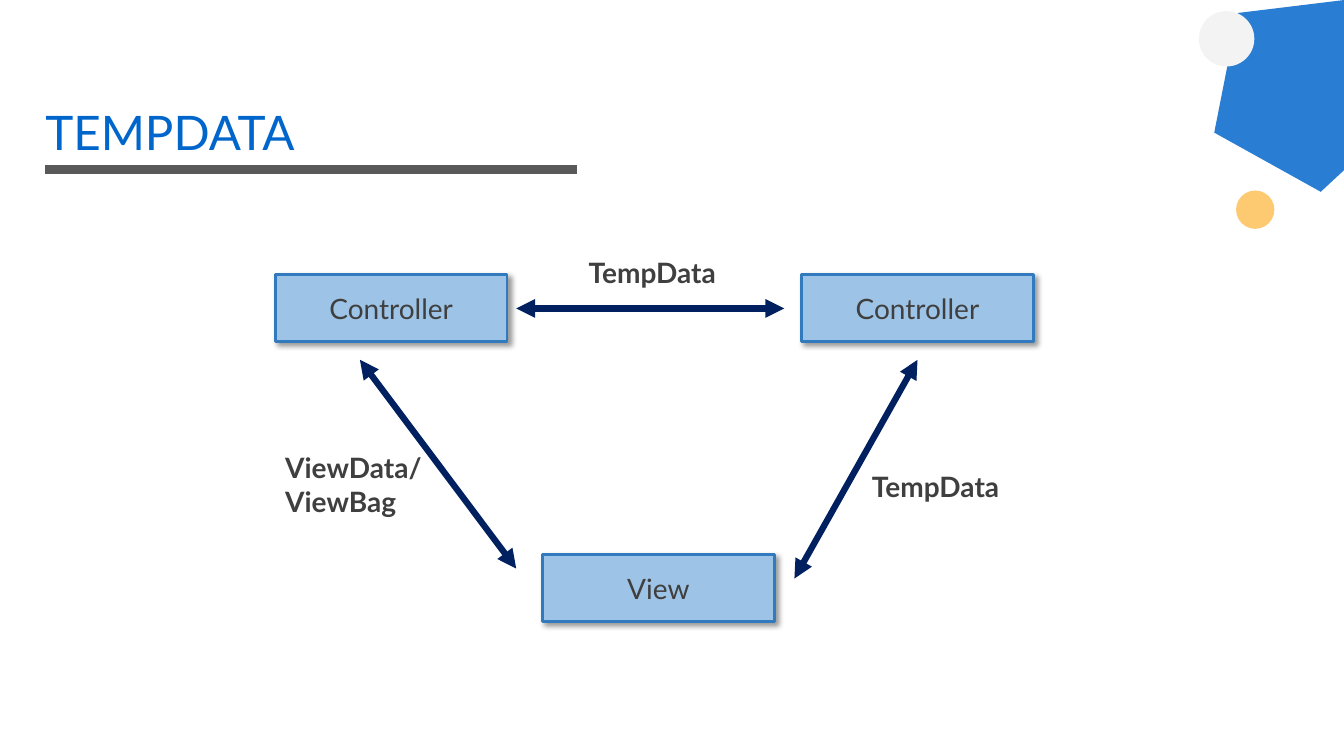
from lxml import etree
from pptx import Presentation
from pptx import util as u
from pptx.dml.color import RGBColor
from pptx.enum import shapes, text
from pptx.oxml import ns

COLORS = {
    "title": "0066CC", "rule": "595959", "amber": "FCA106", "pale": "F3F3F3",
    "box": "9DC3E6", "border": "317ABD", "ink": "3F3F3F", "arrow": "002060",
    "shadow": "000000",
}
KINDS = shapes.MSO_SHAPE

deck = Presentation()
deck.slide_width, deck.slide_height = u.Inches(13.33), u.Inches(7.5)
slide = deck.slides.add_slide(deck.slide_layouts[6])
column, row = deck.slide_width / 100, deck.slide_height / 100


def place(*lengths):
    return [round(n * (row if i % 2 else column)) for i, n in enumerate(lengths)]


def write(frame, words, size, color, bold=False):
    run = frame.paragraphs[0].add_run()
    run.text = words
    run.font.name = "Lato"
    run.font.size = u.Pt(size)
    run.font.bold = bold
    run.font.color.rgb = RGBColor.from_string(COLORS[color])


decorations = [
    (KINDS.REGULAR_PENTAGON, (89.5, -1.6, 14.7, 24.8), 317.1, "title", 84),
    (KINDS.OVAL, (91.97, 25.2, 2.85, 5.07), 0, "amber", 57),
    (KINDS.OVAL, (89.2, 1.47, 4.13, 7.33), 0, "pale", 100),
]
for kind, area, turn, color, opacity in decorations:
    ornament = slide.shapes.add_shape(kind, *place(*area))
    ornament.rotation = turn
    ornament.shadow.inherit = False
    ornament.line.fill.background()
    ornament.fill.solid()
    ornament.fill.fore_color.rgb = RGBColor.from_string(COLORS[color])
    if opacity < 100:
        tint = ornament._element.spPr.find(".//" + ns.qn("a:srgbClr"))
        etree.SubElement(tint, ns.qn("a:alpha"), val=str(opacity * 1000))

title = slide.shapes.add_textbox(*place(3.38, 13.47, 93.17, 10.53)).text_frame
title.word_wrap = True
title.margin_left = title.margin_right = title.margin_bottom = 0
title.margin_top = u.Inches(0.01)
write(title, "TEMPDATA", 34, "title")

box_width, box_height = 17.25, 8.93
top_row, bottom_row = 36.27, 73.33
stages = [("Controller", 20.48, top_row), ("Controller", 59.64, top_row),
          ("View", 40.36, bottom_row)]
for words, left, top in stages:
    stage = slide.shapes.add_shape(
        KINDS.RECTANGLE, *place(left, top, box_width, box_height))
    stage.fill.solid()
    stage.fill.fore_color.rgb = RGBColor.from_string(COLORS["box"])
    stage.line.color.rgb = RGBColor.from_string(COLORS["border"])
    stage.line.width = u.Pt(2)
    stage.shadow.inherit = False
    effects = stage._element.spPr.find(ns.qn("a:effectLst"))
    shade = etree.SubElement(
        effects, ns.qn("a:outerShdw"), blurRad=str(u.Pt(4)), dist=str(u.Pt(3)),
        dir=str(45 * 60000), algn="tl", rotWithShape="0")
    shade_color = etree.SubElement(shade, ns.qn("a:srgbClr"), val=COLORS["shadow"])
    etree.SubElement(shade_color, ns.qn("a:alpha"), val="40000")
    stage.text_frame.vertical_anchor = text.MSO_ANCHOR.MIDDLE
    stage.text_frame.paragraphs[0].alignment = text.PP_ALIGN.CENTER
    write(stage.text_frame, words, 20, "ink")

lines = [
    ((3.38, 22.4, 42.91, 22.4), "rule", 6, False),
    ((68.27, 47.6, 59.11, 76.53), "arrow", 4.5, True),
    ((26.78, 47.6, 38.41, 75.2), "arrow", 4.5, True),
    ((38.41, 40.8, 58.36, 40.8), "arrow", 4.5, True),
]
for ends, color, weight, pointed in lines:
    link = slide.shapes.add_connector(shapes.MSO_CONNECTOR.STRAIGHT, *place(*ends))
    link.line.color.rgb = RGBColor.from_string(COLORS[color])
    link.line.width = u.Pt(weight)
    if pointed:
        for end in ("a:headEnd", "a:tailEnd"):
            etree.SubElement(link.line._get_or_add_ln(), ns.qn(end), type="triangle")
    etree.SubElement(link._element.spPr, ns.qn("a:effectLst"))

labels = [
    ("TempData", (64.14, 61.47, 11.18, 6.4), False),
    ("TempData", (43.06, 33.2, 11.18, 6.4), False),
    ("ViewData/ViewBag", (20.48, 58.93, 12.15, 11.2), True),
]
for words, area, wraps in labels:
    label = slide.shapes.add_textbox(*place(*area)).text_frame
    label.word_wrap = wraps
    label.auto_size = text.MSO_AUTO_SIZE.SHAPE_TO_FIT_TEXT
    write(label, words, 20, "ink", bold=True)

deck.save("out.pptx")
